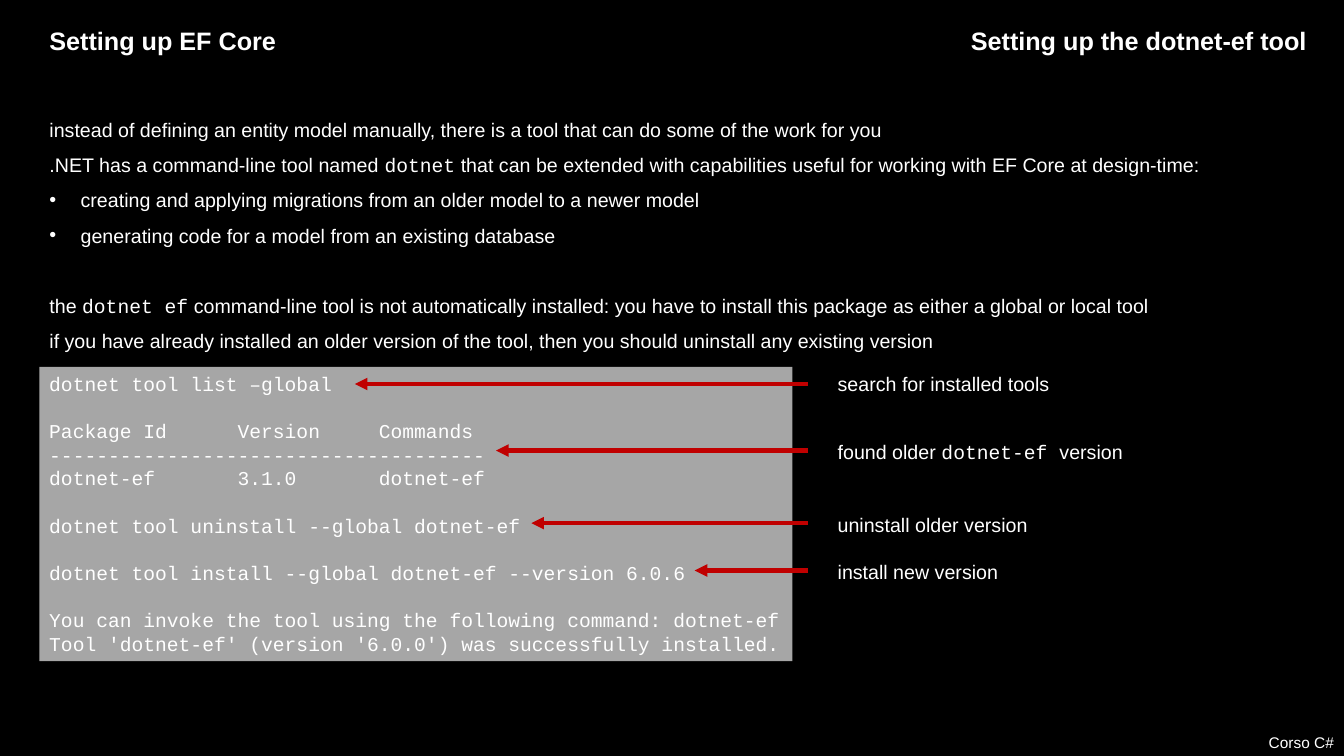
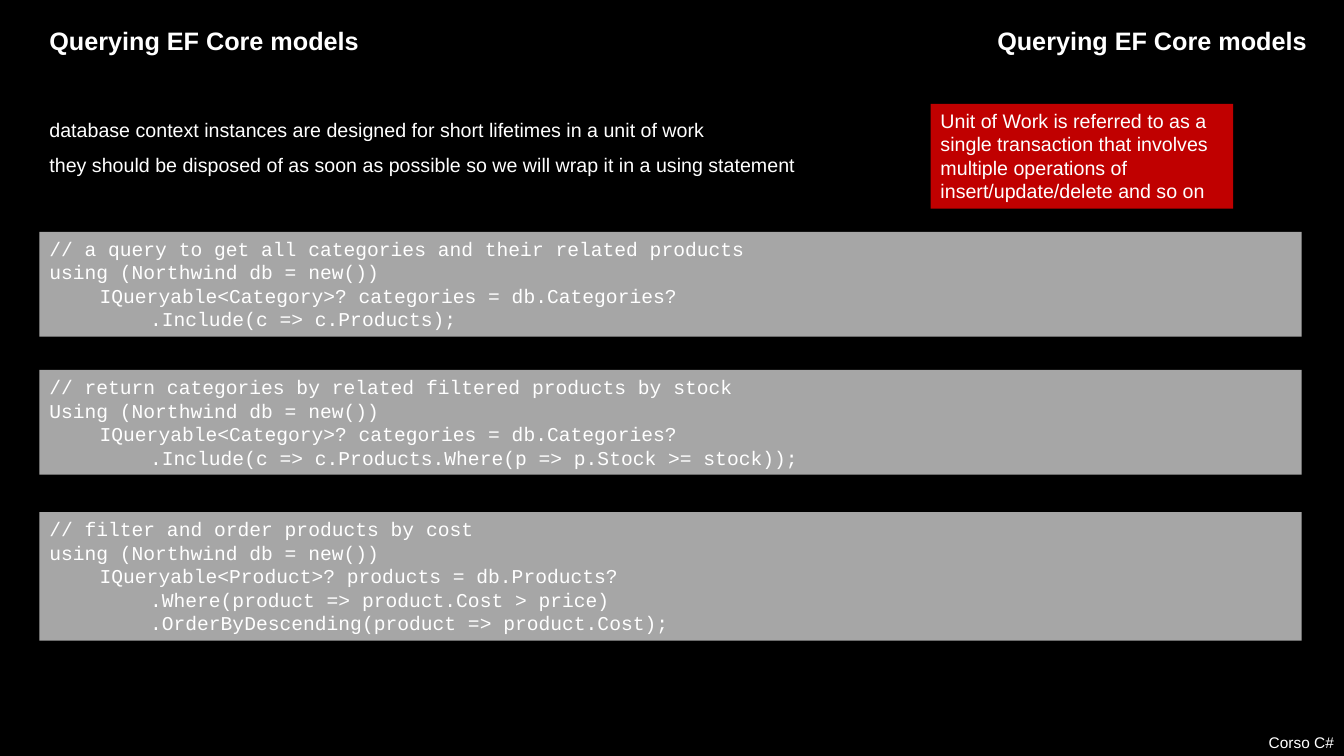
from lxml.etree import SubElement
from pptx import Presentation
from pptx.dml.color import RGBColor
from pptx.enum.shapes import MSO_CONNECTOR, MSO_SHAPE
from pptx.enum.text import MSO_ANCHOR, MSO_AUTO_SIZE, PP_ALIGN
from pptx.oxml.ns import qn
from pptx.util import Inches, Pt

BLACK = RGBColor(0x00, 0x00, 0x00)
WHITE = RGBColor(0xFF, 0xFF, 0xFF)
GRAY = RGBColor(0xA6, 0xA6, 0xA6)
RED = RGBColor(0xC0, 0x00, 0x00)
SANS, MONO = "Arial", "Courier New"
WIDE, HIGH = 13.33, 7.5
LEFT, FULL = 0.39, 12.52
LINE, PAD = 0.235, 0.1
CODE_GAP, BODY_GAP = 17, 25
NOTE_X, ARROW_X = 8.21, 8.01

# A paragraph is a list of runs; every second run is code.
SETUP = {
    "title": "Setting up EF Core",
    "topic": "Setting up the dotnet-ef tool",
    "height": 2.53,
    "body": [
        ("text", ["instead of defining an entity model manually, there is a tool that can do some of the work for you"]),
        ("text", [".NET has a command-line tool named ", "dotnet",
                  " that can be extended with capabilities useful for working with EF Core at design-time:"]),
        ("bullet", ["creating and applying migrations from an older model to a newer model"]),
        ("bullet", ["generating code for a model from an existing database"]),
        ("apart", ["the ", "dotnet ef",
                   " command-line tool is not automatically installed: you have to install this package"
                   " as either a global or local tool"]),
        ("text", ["if you have already installed an older version of the tool,"
                  " then you should uninstall any existing version"]),
    ],
    "code": [(3.64, 7.47, """dotnet tool list –global

Package Id      Version     Commands
-------------------------------------
dotnet-ef       3.1.0       dotnet-ef

dotnet tool uninstall --global dotnet-ef

dotnet tool install --global dotnet-ef --version 6.0.6

You can invoke the tool using the following command: dotnet-ef
Tool 'dotnet-ef' (version '6.0.0') was successfully installed.""")],
    # arrow tip, arrow height, note top, note runs
    "notes": [
        (3.52, 3.81, 3.64, ["search for installed tools"]),
        (4.92, 4.47, 4.32, ["found older ", "dotnet-ef ", "version"]),
        (5.27, 5.19, 5.04, ["uninstall older version"]),
        (6.89, 5.66, 5.51, ["install new version"]),
    ],
}
QUERY = {
    "title": "Querying EF Core models",
    "topic": "Querying EF Core models",
    "height": 0.76,
    "body": [
        ("text", ["database context instances are designed for short lifetimes in a unit of work"]),
        ("text", ["they should be disposed of as soon as possible so we will wrap it in a using statement"]),
    ],
    "callout": "Unit of Work is referred to as a single transaction that involves"
               " multiple operations of insert/update/delete and so on",
    "code": [
        (2.3, FULL, """// a query to get all categories and their related products
using (Northwind db = new())
\tIQueryable<Category>? categories = db.Categories?
\t\t.Include(c => c.Products);"""),
        (3.67, FULL, """// return categories by related filtered products by stock
Using (Northwind db = new())
\tIQueryable<Category>? categories = db.Categories?
\t\t.Include(c => c.Products.Where(p => p.Stock >= stock));"""),
        (5.08, FULL, """// filter and order products by cost
using (Northwind db = new())
\tIQueryable<Product>? products = db.Products?
\t\t.Where(product => product.Cost > price)
\t\t.OrderByDescending(product => product.Cost);"""),
    ],
}


def place(shape, x, y, w, h):
    shape.left, shape.top = Inches(x), Inches(y)
    shape.width, shape.height = Inches(w), Inches(h)


def open_frame(shape, wrap=True):
    """Give back the text frame, anchored at the top with no autofit."""
    frame = shape.text_frame
    frame.word_wrap = wrap
    frame.auto_size = MSO_AUTO_SIZE.NONE
    frame.vertical_anchor = MSO_ANCHOR.TOP
    return frame


def next_para(frame, first):
    return frame.paragraphs[0] if first else frame.add_paragraph()


def write(para, runs, size=14, bold=False, align=PP_ALIGN.LEFT, fonts=(SANS, MONO)):
    para.alignment = align
    for i, text in enumerate(runs):
        run = para.add_run()
        run.text = text
        font = run.font
        font.name, font.size, font.bold = fonts[i % 2], Pt(size), bold
        font.color.rgb = WHITE


def add_text(slide, box, runs, **style):
    shape = slide.shapes.add_textbox(*map(Inches, box))
    write(open_frame(shape).paragraphs[0], runs, **style)


def add_panel(slide, box, color):
    shape = slide.shapes.add_shape(MSO_SHAPE.RECTANGLE, *map(Inches, box))
    shape.shadow.inherit = False
    shape.fill.solid()
    shape.fill.fore_color.rgb = color
    shape.line.fill.background()
    return open_frame(shape)


def add_code(slide, top, width, code):
    lines = code.split("\n")
    frame = add_panel(slide, (LEFT, top, width, PAD + LINE * len(lines)), GRAY)
    gap = 0
    for i, line in enumerate(lines):
        if not line:
            gap = CODE_GAP
            continue
        para = next_para(frame, i == 0)
        if line.startswith("\t"):
            tabs = SubElement(para._p.get_or_add_pPr(), qn("a:tabLst"))
            for stop in (0.5, 1):
                SubElement(tabs, qn("a:tab"), pos=str(Inches(stop)), algn="l")
        para.space_before = Pt(gap)
        write(para, [line], fonts=(MONO, MONO))
        gap = 0


def fill_body(shape, items):
    frame = open_frame(shape)
    for i, (kind, runs) in enumerate(items):
        para = next_para(frame, i == 0)
        props = para._p.get_or_add_pPr()
        dent = Inches(0.31) if kind == "bullet" else 0
        props.set("marL", str(dent))
        props.set("indent", str(-dent))
        if dent:
            SubElement(props, qn("a:buFont"), typeface=SANS)
            SubElement(props, qn("a:buChar"), char="•")
        else:
            SubElement(props, qn("a:buNone"))
        para.line_spacing = 1.5
        para.space_before = Pt(BODY_GAP if kind == "apart" else 0)
        write(para, runs)


def add_arrow(slide, tip, y):
    line = slide.shapes.add_connector(
        MSO_CONNECTOR.STRAIGHT, Inches(ARROW_X), Inches(y), Inches(tip), Inches(y))
    line.line.color.rgb = RED
    line.line.width = Pt(3)
    SubElement(line.line._get_or_add_ln(), qn("a:tailEnd"), type="triangle")
    SubElement(line._element.spPr, qn("a:effectLst"))


def add_slide(deck, data):
    slide = deck.slides.add_slide(deck.slide_layouts[1])
    title, body = slide.placeholders
    place(title, LEFT, 0.2, 5.2, 0.4)
    write(open_frame(title, False).paragraphs[0], [data["title"]], size=18, bold=True)
    place(body, LEFT, 1, FULL, data["height"])
    fill_body(body, data["body"])
    add_text(slide, (5.85, 0.2, 7.21, 0.4), [data["topic"]],
             size=18, bold=True, align=PP_ALIGN.RIGHT)
    add_text(slide, (0, HIGH - 0.28, WIDE, 0.28), ["Corso C#"], size=11, align=PP_ALIGN.RIGHT)
    for block in data["code"]:
        add_code(slide, *block)
    for tip, y, top, runs in data.get("notes", []):
        add_arrow(slide, tip, y)
        add_text(slide, (NOTE_X, top, 3.84, 0.34), runs)
    if "callout" in data:
        frame = add_panel(slide, (9.23, 1.03, 3, 1.04), RED)
        write(frame.paragraphs[0], [data["callout"]])


def main():
    deck = Presentation()
    deck.slide_width, deck.slide_height = Inches(WIDE), Inches(HIGH)
    back = deck.slide_master.background.fill
    back.solid()
    back.fore_color.rgb = BLACK
    for data in (SETUP, QUERY):
        add_slide(deck, data)
    deck.save("out.pptx")


if __name__ == "__main__":
    main()
